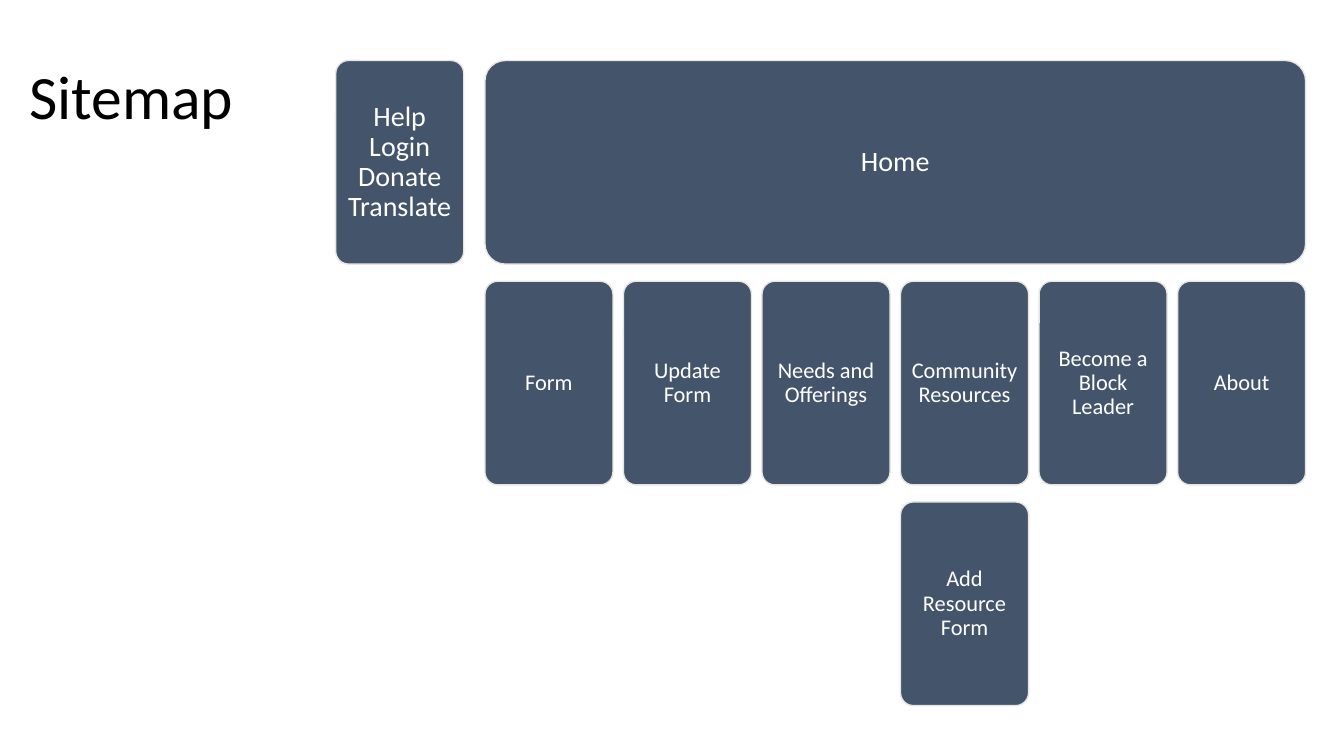
from pptx import Presentation
from pptx.dml.color import RGBColor
from pptx.enum.shapes import MSO_SHAPE
from pptx.enum.text import MSO_ANCHOR, PP_ALIGN
from pptx.util import Inches, Pt

SLATE = RGBColor(0x44, 0x54, 0x6A)
PALE = RGBColor(0xE7, 0xE6, 0xE6)
WHITE = RGBColor(0xFF, 0xFF, 0xFF)
BLACK = RGBColor(0x00, 0x00, 0x00)
FONT = "Calibri"

CARD_WIDTH, CARD_HEIGHT = 1.27, 2.02
ROW_PITCH = 2.19
UTILITY_LEFT, TREE_LEFT, TREE_TOP, TREE_WIDTH = 3.33, 4.81, 0.6, 8.14

UTILITIES = "Help\nLogin\nDonate\nTranslate"
SECTIONS = [
    ("Form", []),
    ("Update Form", []),
    ("Needs and Offerings", []),
    ("Community Resources", ["Add Resource Form"]),
    ("Become a Block Leader", []),
    ("About", []),
]


def write_text(shape, text, size, color, align):
    """Fill a shape with one vertically centred paragraph."""
    frame = shape.text_frame
    frame.word_wrap = True
    frame.vertical_anchor = MSO_ANCHOR.MIDDLE
    para = frame.paragraphs[0]
    para.text = text
    para.alignment = align
    para.line_spacing = 0.9
    for span in para.runs:
        span.font.name = FONT
        span.font.size = Pt(size)
        span.font.color.rgb = color


def add_title(page, left, top, width, height):
    """Place the slide title in the given box."""
    box = page.shapes.add_textbox(Inches(left), Inches(top), Inches(width), Inches(height))
    write_text(box, "Sitemap", 44, BLACK, PP_ALIGN.LEFT)


def add_card(page, label, left, top, width=CARD_WIDTH, size=16):
    """Place one rounded page card with its label."""
    card = page.shapes.add_shape(
        MSO_SHAPE.ROUNDED_RECTANGLE,
        Inches(left), Inches(top), Inches(width), Inches(CARD_HEIGHT),
    )
    card.adjustments[0] = 0.1
    card.shadow.inherit = False
    card.fill.solid()
    card.fill.fore_color.rgb = SLATE
    card.line.color.rgb = PALE
    card.line.width = Pt(1)
    frame = card.text_frame
    inset = Inches(0.08 if size > 16 else 0.07)
    frame.margin_left = frame.margin_right = inset
    frame.margin_top = frame.margin_bottom = inset
    write_text(card, label, size, WHITE, PP_ALIGN.CENTER)


def add_tree(page, left, top, width):
    """Place the home card, its sections and their subpages."""
    add_card(page, "Home", left, top, width, 20)
    column_pitch = (width - CARD_WIDTH) / (len(SECTIONS) - 1)
    for column, (section, subpages) in enumerate(SECTIONS):
        for row, label in enumerate([section, *subpages], start=1):
            add_card(page, label, left + column * column_pitch, top + row * ROW_PITCH)


def main():
    """Build the sitemap slide."""
    deck = Presentation()
    deck.slide_width, deck.slide_height = Inches(13.33), Inches(7.5)
    page = deck.slides.add_slide(deck.slide_layouts[6])
    add_title(page, 0.19, 0.26, 11.5, 1.45)
    add_card(page, UTILITIES, UTILITY_LEFT, TREE_TOP, size=20)
    add_tree(page, TREE_LEFT, TREE_TOP, TREE_WIDTH)
    deck.save("out.pptx")


if __name__ == "__main__":
    main()
